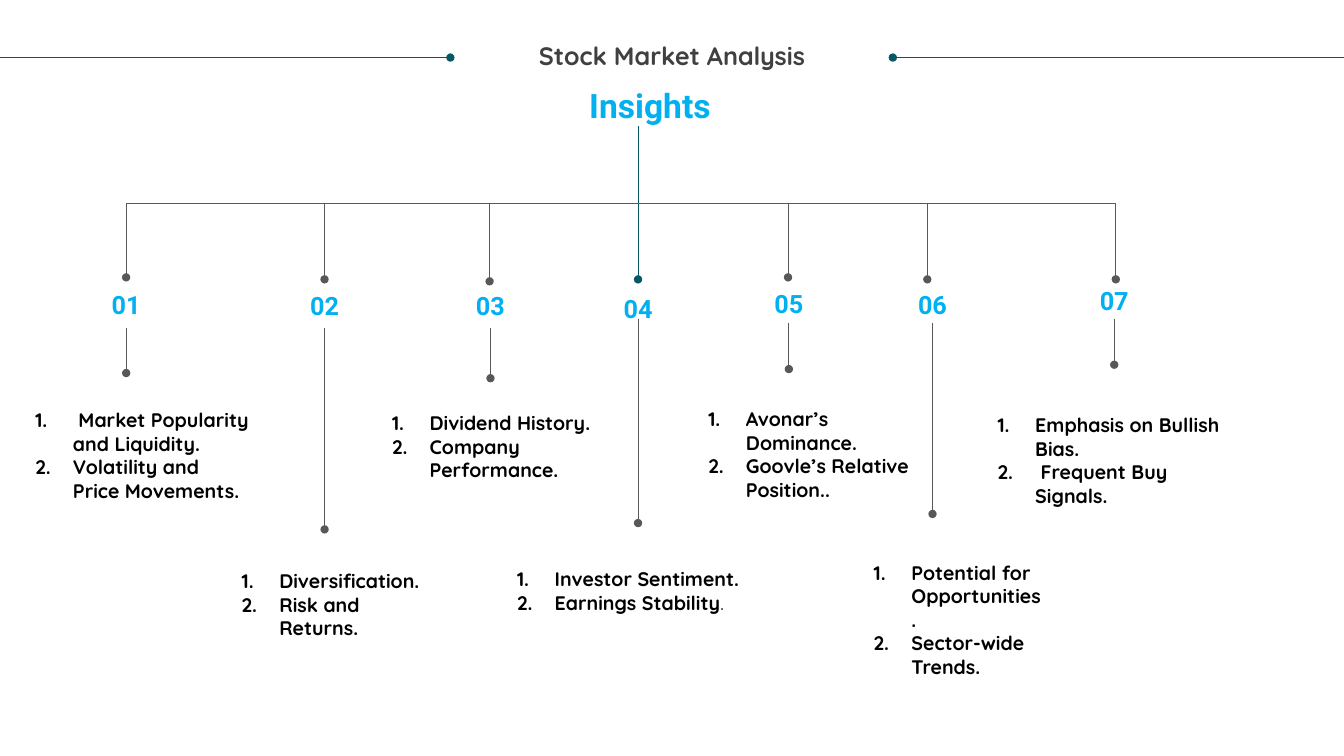
from dataclasses import dataclass

from lxml.etree import SubElement
from pptx import Presentation
from pptx.dml.color import RGBColor
from pptx.enum.shapes import MSO_CONNECTOR
from pptx.enum.text import MSO_ANCHOR, PP_ALIGN
from pptx.oxml.ns import qn
from pptx.slide import Slide
from pptx.text.text import Font, TextFrame
from pptx.util import Cm, Pt


@dataclass(frozen=True)
class Theme:
    """Colours, fonts and type sizes of the slide."""

    teal: str = "085764"
    grey: str = "585858"
    blue: str = "00B0F0"
    title: str = "404040"
    body: str = "000000"
    text_font: str = "Quicksand"
    number_font: str = "Roboto"
    heading_size: float = 24
    label_size: float = 18
    body_size: float = 14
    thin: float = 0.5
    regular: float = 0.75


@dataclass(frozen=True)
class Box:
    """A rectangle in centimetres."""

    left: float
    top: float
    width: float
    height: float


@dataclass(frozen=True)
class Branch:
    """One numbered branch of the tree, in centimetres."""

    number: str
    drop_x: float
    drop_end: float
    label_x: float
    label_y: float
    stem_top: float
    stem_end: float
    box: Box
    items: tuple[str, ...]
    plain_ending: str = ""


THEME = Theme()
SLIDE_WIDTH, SLIDE_HEIGHT = 33.87, 19.05
TRUNK_X, TRUNK_TOP, BUS_Y = 16.08, 3.18, 5.12
RULE_Y = 1.45
LABEL_WIDTH, LABEL_HEIGHT = 1.4, 1.32
LABEL_INSET = 0.25
LIST_INDENT = 0.95

BRANCHES = (
    Branch("01", 3.18, 6.99, 3.18, 7.68, 8.26, 9.4, Box(0.64, 10.16, 5.92, 3.25),
           (" Market Popularity and Liquidity.", "Volatility and Price Movements.")),
    Branch("02", 8.18, 7.04, 8.18, 7.7, 8.26, 13.34, Box(5.84, 14.22, 5.51, 2.64),
           ("Diversification.", "Risk and\vReturns.")),
    Branch("03", 12.34, 7.09, 12.36, 7.7, 8.26, 9.53, Box(9.63, 10.24, 5.84, 2.64),
           ("Dividend History.", "Company Performance.")),
    Branch("04", TRUNK_X, 7.04, TRUNK_X, 7.77, 8.05, 13.18, Box(12.78, 14.17, 6.53, 1.45),
           ("Investor Sentiment.", "Earnings Stability"), "."),
    Branch("05", 19.86, 6.99, 19.88, 7.65, 8.13, 9.3, Box(17.6, 10.13, 5.84, 3.25),
           ("Avonar’s Dominance.", "Goovle’s Relative Position..")),
    Branch("06", 23.37, 7.04, 23.5, 7.67, 8.15, 12.95, Box(21.77, 14, 4.83, 3.25),
           ("Potential for Opportunities.", "Sector-wide Trends.")),
    Branch("07", 28.12, 7.04, 28.08, 7.57, 8.03, 9.19, Box(24.89, 10.29, 6.35, 2.64),
           ("Emphasis on Bullish Bias.", " Frequent Buy Signals.")),
)


def style_font(font: Font, name: str, size: float, color: str) -> None:
    """Apply a bold typeface, size and colour."""
    font.name = name
    font.size = Pt(size)
    font.bold = True
    font.color.rgb = RGBColor.from_string(color)


def draw_line(slide: Slide, start: tuple[float, float], end: tuple[float, float],
              color: str, weight: float, elbow: bool = False, dot: bool = True) -> None:
    """Draw a straight or single-corner line, optionally ending in a dot."""
    kind = MSO_CONNECTOR.ELBOW if elbow else MSO_CONNECTOR.STRAIGHT
    connector = slide.shapes.add_connector(kind, *(Cm(value) for value in start + end))
    connector.line.color.rgb = RGBColor.from_string(color)
    connector.line.width = Pt(weight)
    properties = connector._element.spPr
    if dot:
        SubElement(properties.find(qn("a:ln")), qn("a:tailEnd"), type="oval")
    if elbow:
        guides = properties.find(qn("a:prstGeom")).get_or_add_avLst()
        SubElement(guides, qn("a:gd"), name="adj1", fmla="val 100000")
    SubElement(properties, qn("a:effectLst"))


def add_text_frame(slide: Slide, box: Box) -> TextFrame:
    """Add a wrapping text box and return its frame."""
    shape = slide.shapes.add_textbox(Cm(box.left), Cm(box.top), Cm(box.width), Cm(box.height))
    shape.text_frame.word_wrap = True
    return shape.text_frame


def add_label(slide: Slide, box: Box, text: str, font: str, size: float, color: str,
              anchor: MSO_ANCHOR, inset: float) -> TextFrame:
    """Add a centred one-line label."""
    frame = add_text_frame(slide, box)
    frame.margin_left = frame.margin_right = Cm(inset)
    frame.margin_top = frame.margin_bottom = Cm(inset)
    frame.vertical_anchor = anchor
    frame.text = text
    paragraph = frame.paragraphs[0]
    paragraph.alignment = PP_ALIGN.CENTER
    style_font(paragraph.runs[0].font, font, size, color)
    return frame


def add_numbered_list(slide: Slide, branch: Branch) -> None:
    """Add the numbered points of a branch."""
    frame = add_text_frame(slide, branch.box)
    frame.text = "\n".join(branch.items)
    for paragraph in frame.paragraphs:
        properties = paragraph._p.get_or_add_pPr()
        properties.set("marL", str(Cm(LIST_INDENT)))
        properties.set("indent", str(-Cm(LIST_INDENT)))
        SubElement(properties, qn("a:buFont"), typeface="+mj-lt")
        SubElement(properties, qn("a:buAutoNum"), type="arabicPeriod")
        for run in paragraph.runs:
            style_font(run.font, THEME.text_font, THEME.body_size, THEME.body)
    if branch.plain_ending:
        ending = frame.paragraphs[-1].add_run()
        ending.text = branch.plain_ending
        style_font(ending.font, THEME.text_font, THEME.body_size, THEME.body)
        ending.font.bold = False


def draw_branch(slide: Slide, branch: Branch) -> None:
    """Draw the connector, number, stem and points of a branch."""
    drop_end = (branch.drop_x, branch.drop_end)
    if branch.drop_x == TRUNK_X:
        draw_line(slide, (TRUNK_X, TRUNK_TOP), drop_end, THEME.teal, THEME.thin)
    else:
        draw_line(slide, (TRUNK_X, BUS_Y), drop_end, THEME.grey, THEME.regular, elbow=True)
    label_box = Box(branch.label_x - LABEL_WIDTH / 2, branch.label_y - LABEL_HEIGHT / 2,
                    LABEL_WIDTH, LABEL_HEIGHT)
    add_label(slide, label_box, branch.number, THEME.number_font, THEME.label_size,
              THEME.blue, MSO_ANCHOR.MIDDLE, LABEL_INSET)
    draw_line(slide, (branch.label_x, branch.stem_top), (branch.label_x, branch.stem_end),
              THEME.grey, THEME.regular)
    add_numbered_list(slide, branch)


def main() -> None:
    """Build the slide and save it."""
    presentation = Presentation()
    presentation.slide_width = Cm(SLIDE_WIDTH)
    presentation.slide_height = Cm(SLIDE_HEIGHT)
    slide = presentation.slides.add_slide(presentation.slide_layouts[6])

    for edge, dot_x in ((0, 11.35), (SLIDE_WIDTH, 22.5)):
        draw_line(slide, (edge, RULE_Y), (dot_x, RULE_Y), THEME.teal, THEME.thin)
    title = add_label(slide, Box(0.64, 1.09, 32.59, 1.78), "Stock Market Analysis",
                      THEME.text_font, THEME.label_size, THEME.title, MSO_ANCHOR.TOP, 0)
    title.paragraphs[0].line_spacing = 0.9
    add_label(slide, Box(11.35, 2.03, 10.06, 1.37), "Insights", THEME.number_font,
              THEME.heading_size, THEME.blue, MSO_ANCHOR.BOTTOM, LABEL_INSET)

    draw_line(slide, (TRUNK_X, TRUNK_TOP), (TRUNK_X, BUS_Y), THEME.grey, THEME.regular, dot=False)
    for branch in BRANCHES:
        draw_branch(slide, branch)
    presentation.save("out.pptx")


if __name__ == "__main__":
    main()
